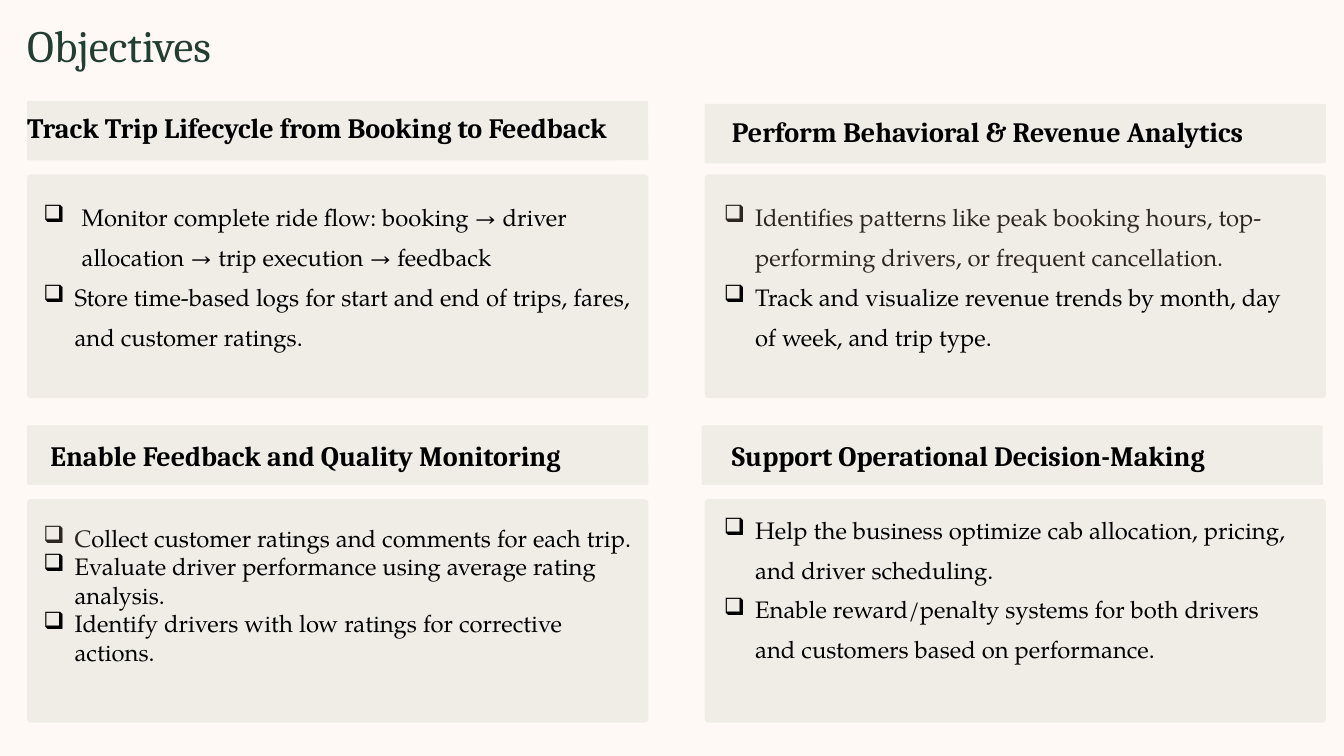
from lxml import etree
from pptx import Presentation
from pptx import util as u
from pptx.dml.color import RGBColor
from pptx.enum import shapes, text
from pptx.oxml.ns import qn

PX = 9144
BACKGROUND = RGBColor(0xFE, 0xF9, 0xF5)
PANEL = RGBColor(0xF0, 0xED, 0xE6)
GREEN = RGBColor(0x23, 0x3E, 0x32)
BLACK = RGBColor(0, 0, 0)
BROWN = RGBColor(0x2C, 0x28, 0x21)

TITLE_FONT = dict(name="Cambria", size=u.Pt(32), bold=False)
HEADING_FONT = dict(name="Cambria", size=u.Pt(20), bold=True)
BODY_FONT = dict(name="TeX Gyre Pagella", size=u.Pt(17), bold=False)
HEADING_LEADING = u.Pt(27.5)
BODY_LEADING = u.Pt(28.5)

PANEL_W, PANEL_H, BAR_H = 616, 222, 59
LEFT, RIGHT, UPPER, LOWER = 27, 699, 173, 495

CARDS = [
    dict(
        box=(LEFT, UPPER), bar=(0, -73), heading_at=(0, -68), body=(16, 17, 600, 148),
        heading="Track Trip Lifecycle from Booking to Feedback",
        bullets=[
            (38, BODY_LEADING, [("Monitor complete ride flow: booking → driver allocation → "
                                 "trip execution → feedback", BLACK)]),
            (31, BODY_LEADING, [("Store time-based logs for start and end of trips, fares, "
                                 "and customer ratings.", BLACK)]),
        ],
    ),
    dict(
        box=(RIGHT, UPPER), bar=(0, -70), heading_at=(27, -64), body=(19, 17, 573, 184),
        heading="Perform Behavioral & Revenue Analytics",
        bullets=[
            (31, BODY_LEADING, [("Identifies patterns like peak booking hours, top-performing "
                                 "drivers, or frequent cancellation.", BROWN)]),
            (31, BODY_LEADING, [("Track and visualize revenue trends by month, day of week, "
                                 "and trip type.", BLACK)]),
        ],
    ),
    dict(
        box=(LEFT, LOWER), bar=(0, -73), heading_at=(23, -65), body=(16, 13, 600, 177),
        heading="Enable Feedback and Quality Monitoring",
        bullets=[
            (31, BODY_LEADING, [("C", BROWN),
                                ("ollect customer ratings and comments for each trip.", BLACK)]),
            (31, None, [("Evaluate driver performance using average rating analysis.", BLACK)]),
            (31, None, [("Identify drivers with low ratings for corrective actions.", BLACK)]),
        ],
    ),
    dict(
        box=(RIGHT, LOWER), bar=(-3, -73), heading_at=(27, -65), body=(19, 5, 573, 199),
        heading="Support Operational Decision-Making",
        bullets=[
            (31, BODY_LEADING, [("Help the business optimize cab allocation, pricing, "
                                 "and driver scheduling.", BLACK)]),
            (31, BODY_LEADING, [("Enable reward/penalty systems for both drivers and customers "
                                 "based on performance.", BLACK)]),
        ],
    ),
]


def px(*lengths):
    """Turn pixel lengths into EMU."""
    return [u.Emu(n * PX) for n in lengths]


def assign(obj, values):
    """Set each attribute in a dict of format values."""
    for name, value in values.items():
        setattr(obj, name, value)


def prepare_frame(tf, wrap):
    """Remove the insets and anchor the text at the top."""
    assign(tf, dict(margin_left=0, margin_top=0, margin_right=0, margin_bottom=0,
                    word_wrap=wrap, auto_size=text.MSO_AUTO_SIZE.NONE,
                    vertical_anchor=text.MSO_ANCHOR.TOP))
    return tf


def add_run(p, words, font, color):
    """Append one formatted run."""
    r = p.add_run()
    r.text = words
    assign(r.font, font)
    r.font.color.rgb = color


def add_line(tf, words, font, color):
    """Fill a frame with one left-aligned line."""
    p = tf.paragraphs[0]
    assign(p, dict(alignment=text.PP_ALIGN.LEFT, line_spacing=HEADING_LEADING))
    add_run(p, words, font, color)


def add_panel(slide, x, y, w, h):
    """Draw a flat, slightly rounded panel."""
    sp = slide.shapes.add_shape(shapes.MSO_SHAPE.ROUNDED_RECTANGLE, *px(x, y, w, h))
    sp.adjustments[0] = 0.017
    sp.shadow.inherit = False
    sp.fill.solid()
    sp.fill.fore_color.rgb = PANEL
    sp.line.fill.background()


def add_bullets(tf, bullets):
    """Write a list with square bullets and hanging indents."""
    for i, (indent, leading, runs) in enumerate(bullets):
        p = tf.add_paragraph() if i else tf.paragraphs[0]
        pPr = p._p.get_or_add_pPr()
        pPr.set("marL", str(indent * PX))
        pPr.set("indent", str(-indent * PX))
        etree.SubElement(pPr, qn("a:buChar")).set("char", "❑")
        if leading:
            p.line_spacing = leading
        for words, color in runs:
            add_run(p, words, BODY_FONT, color)


def add_card(slide, box, bar, heading_at, body, heading, bullets):
    """Place a heading bar and a bullet panel relative to the box."""
    x, y = box
    add_panel(slide, x, y, PANEL_W, PANEL_H)
    add_panel(slide, x + bar[0], y + bar[1], PANEL_W, BAR_H)
    dx, dy = heading_at
    sp = slide.shapes.add_textbox(*px(x + dx, y + dy, PANEL_W - dx, 32))
    add_line(prepare_frame(sp.text_frame, False), heading, HEADING_FONT, BLACK)
    dx, dy, w, h = body
    sp = slide.shapes.add_textbox(*px(x + dx, y + dy, w, h))
    add_bullets(prepare_frame(sp.text_frame, True), bullets)


def add_title(slide, x, y, w, h):
    """Move and format the title placeholder."""
    sp = slide.shapes.title
    assign(sp, dict(zip(("left", "top", "width", "height"), px(x, y, w, h))))
    add_line(prepare_frame(sp.text_frame, False), "Objectives", TITLE_FONT, GREEN)


def main():
    """Build and save the objectives slide."""
    prs = Presentation()
    prs.slide_width, prs.slide_height = px(1333, 750)
    slide = prs.slides.add_slide(prs.slide_layouts[5])
    slide.background.fill.solid()
    slide.background.fill.fore_color.rgb = BACKGROUND
    add_title(slide, LEFT, 33, 249, 32)
    for card in CARDS:
        add_card(slide, **card)
    prs.save("out.pptx")


if __name__ == "__main__":
    main()
